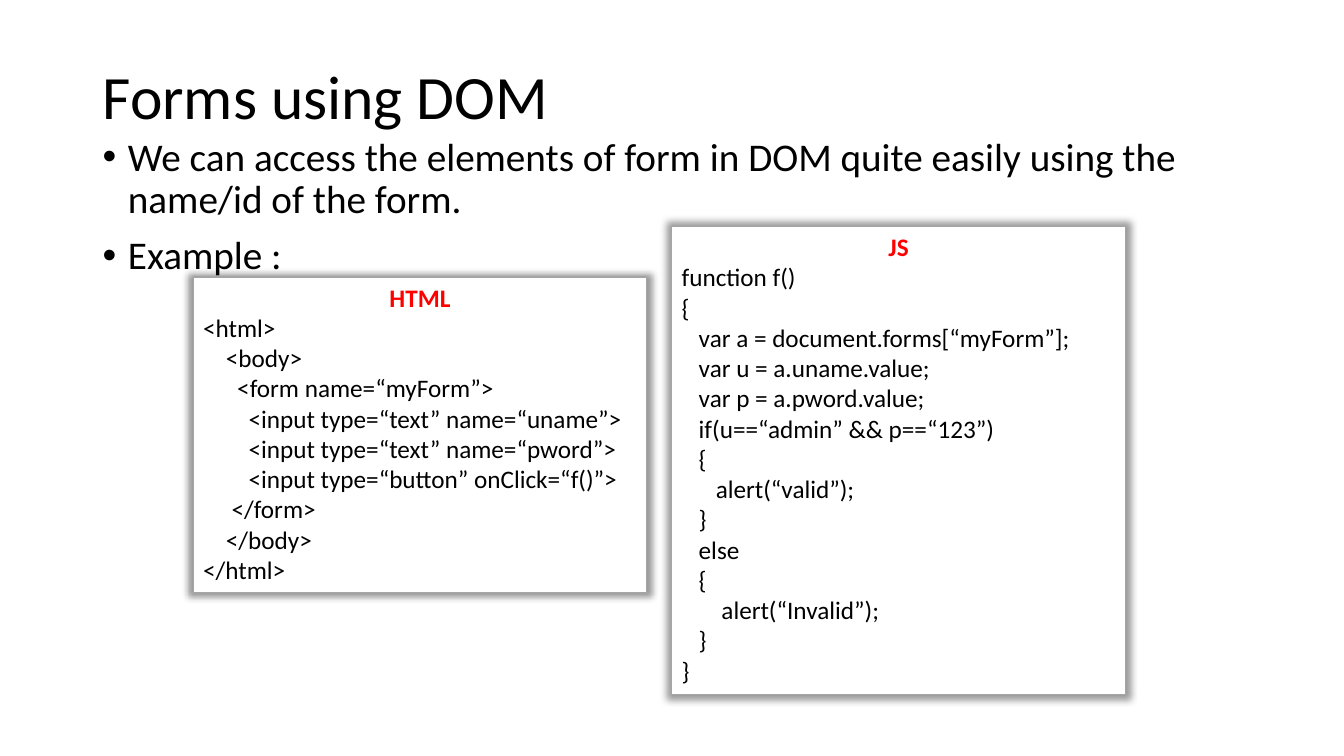
from lxml.etree import SubElement
from pptx import Presentation
from pptx.dml.color import RGBColor
from pptx.enum.shapes import MSO_SHAPE
from pptx.enum.text import MSO_ANCHOR, MSO_AUTO_SIZE, PP_ALIGN
from pptx.oxml.ns import qn
from pptx.util import Cm, Pt

FONT = "Calibri"
BLACK = RGBColor(0x00, 0x00, 0x00)
WHITE = RGBColor(0xFF, 0xFF, 0xFF)
RED = RGBColor(0xFF, 0x00, 0x00)
GREY = RGBColor(0xA5, 0xA5, 0xA5)

TITLE = "Forms using DOM"
BULLETS = [
    "We can access the elements of form in DOM quite easily using the name/id of the form.",
    "Example :",
]
HTML_CODE = """<html>
    <body>
      <form name=“myForm”>
        <input type=“text” name=“uname”>
        <input type=“text” name=“pword”>
        <input type=“button” onClick=“f()”>
     </form>
    </body>
</html>"""
JS_CODE = """function f()
{
   var a = document.forms[“myForm”];
   var u = a.uname.value;
   var p = a.pword.value;
   if(u==“admin” && p==“123”)
   {
      alert(“valid”);
   }
   else
   {
       alert(“Invalid”);
   }
}"""
# heading, code, left, top, height (cm)
CODE_PANELS = [
    ("HTML", HTML_CODE, 4.87, 6.98, 7.95),
    ("JS", JS_CODE, 16.93, 5.71, 11.79),
]
PANEL_WIDTH = 11.43
MARGIN, CONTENT_WIDTH = 2.33, 29.21


def place(shape, left, top, width, height):
    shape.left, shape.top = Cm(left), Cm(top)
    shape.width, shape.height = Cm(width), Cm(height)


def format_runs(paragraph, size, color=BLACK, bold=False):
    for run in paragraph.runs:
        run.font.name = FONT
        run.font.size = Pt(size)
        run.font.color.rgb = color
        run.font.bold = bold


def add_bullet(paragraph):
    properties = paragraph._p.get_or_add_pPr()
    properties.set("marL", str(Cm(0.64)))
    properties.set("indent", str(-Cm(0.64)))
    SubElement(properties, qn("a:buFont"), typeface="Arial")
    SubElement(properties, qn("a:buChar"), char="•")


def add_glow_shadow(shape):
    """Give the shape a soft shadow that spreads evenly on all sides."""
    shape.shadow.inherit = False
    effects = shape._element.spPr.find(qn("a:effectLst"))
    shadow = SubElement(effects, qn("a:outerShdw"), blurRad=str(Pt(5)),
                        sx="102000", sy="102000", algn="ctr", rotWithShape="0")
    color = SubElement(shadow, qn("a:prstClr"), val="black")
    SubElement(color, qn("a:alpha"), val="40000")


def add_code_panel(slide, heading, code, left, top, height):
    panel = slide.shapes.add_shape(MSO_SHAPE.RECTANGLE, Cm(left), Cm(top),
                                   Cm(PANEL_WIDTH), Cm(height))
    panel.fill.solid()
    panel.fill.fore_color.rgb = WHITE
    panel.line.color.rgb = GREY
    panel.line.width = Pt(1)
    add_glow_shadow(panel)
    text_frame = panel.text_frame
    text_frame.word_wrap = True
    text_frame.auto_size = MSO_AUTO_SIZE.SHAPE_TO_FIT_TEXT
    text_frame.vertical_anchor = MSO_ANCHOR.TOP
    text_frame.text = heading + "\n" + code
    heading_paragraph, *code_paragraphs = text_frame.paragraphs
    heading_paragraph.alignment = PP_ALIGN.CENTER
    format_runs(heading_paragraph, 18, RED, bold=True)
    for paragraph in code_paragraphs:
        paragraph.alignment = PP_ALIGN.LEFT
        format_runs(paragraph, 18)


def main():
    presentation = Presentation()
    presentation.slide_width, presentation.slide_height = Cm(33.87), Cm(19.05)
    slide = presentation.slides.add_slide(presentation.slide_layouts[1])

    title = slide.shapes.title
    place(title, MARGIN, 1.01, CONTENT_WIDTH, 3)
    title.text_frame.text = TITLE
    title.text_frame.auto_size = MSO_AUTO_SIZE.NONE
    title.text_frame.vertical_anchor = MSO_ANCHOR.MIDDLE
    title_paragraph = title.text_frame.paragraphs[0]
    title_paragraph.alignment = PP_ALIGN.LEFT
    title_paragraph.line_spacing = 0.9
    format_runs(title_paragraph, 44)

    body = slide.placeholders[1]
    place(body, MARGIN, 3.33, CONTENT_WIDTH, 13.82)
    body.text_frame.text = "\n".join(BULLETS)
    body.text_frame.auto_size = MSO_AUTO_SIZE.NONE
    for index, paragraph in enumerate(body.text_frame.paragraphs):
        add_bullet(paragraph)
        paragraph.line_spacing = 0.9
        paragraph.space_before = Pt(10 if index else 0)
        format_runs(paragraph, 28)

    for panel in CODE_PANELS:
        add_code_panel(slide, *panel)
    presentation.save("out.pptx")


if __name__ == "__main__":
    main()
